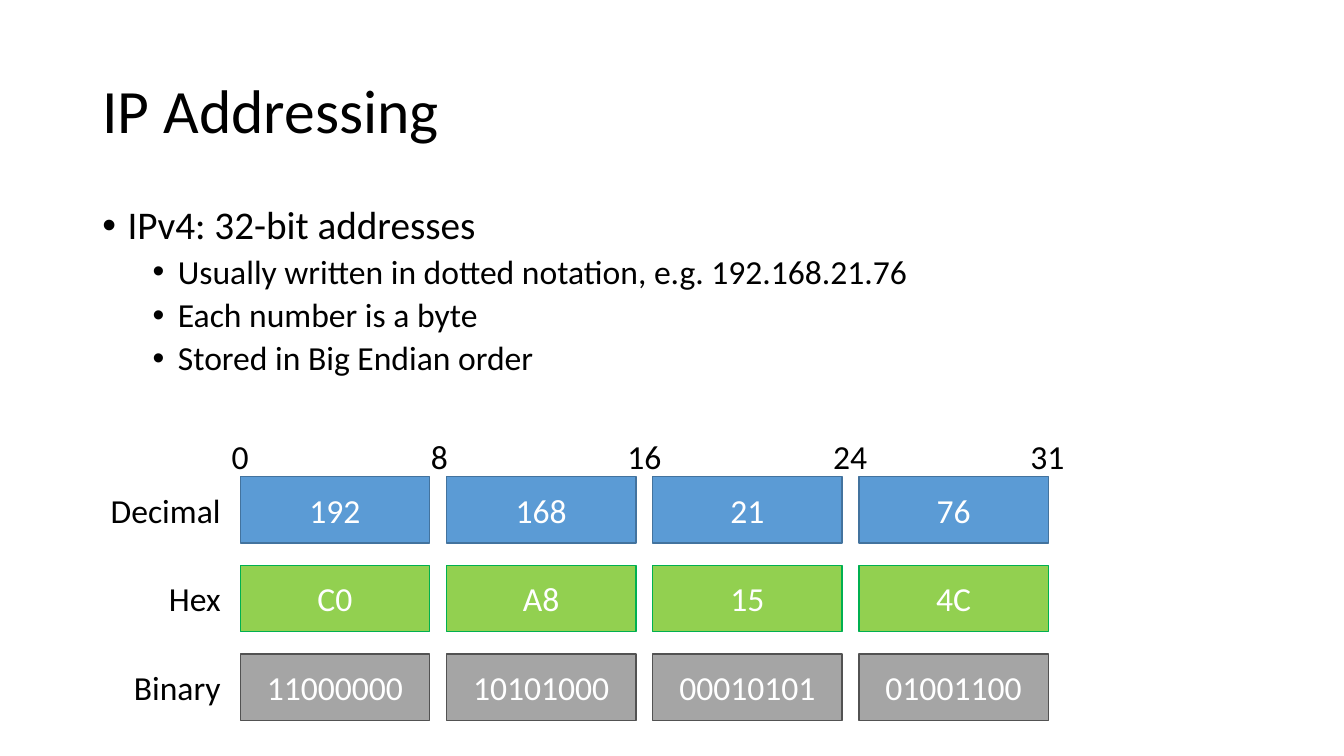
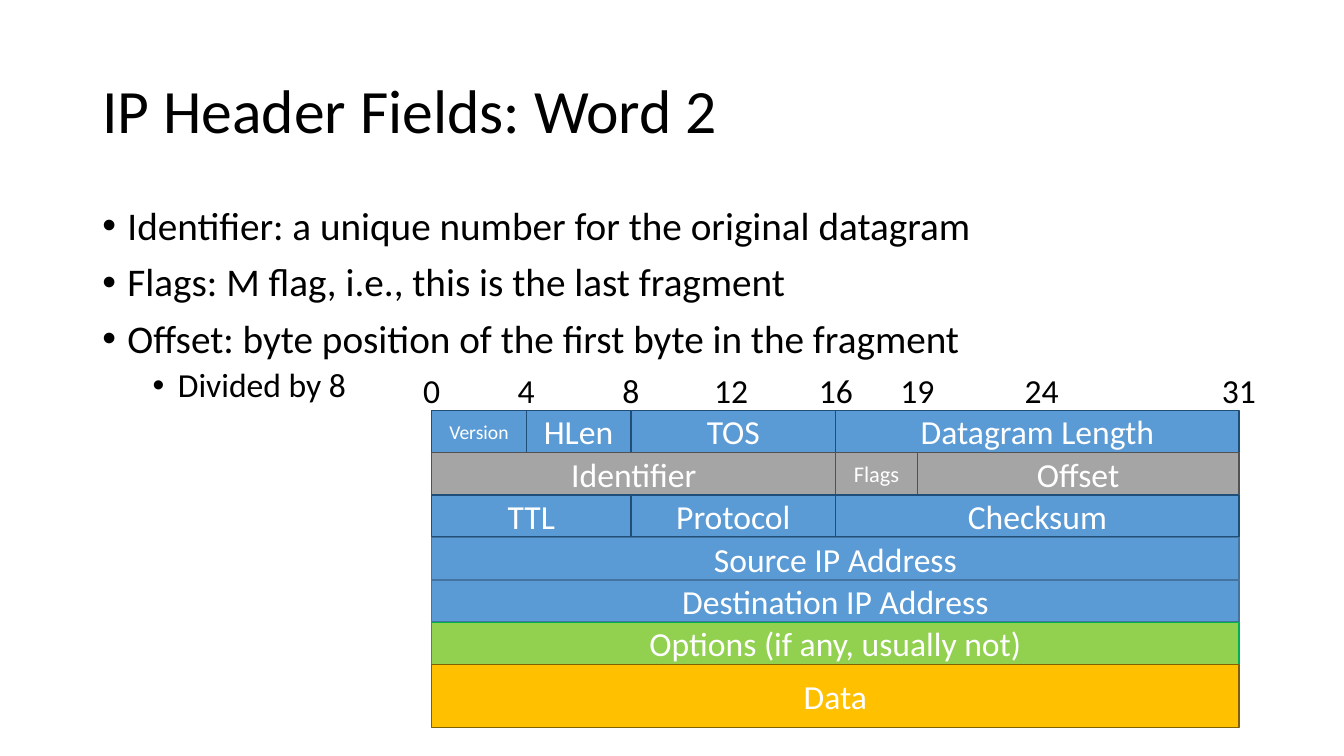
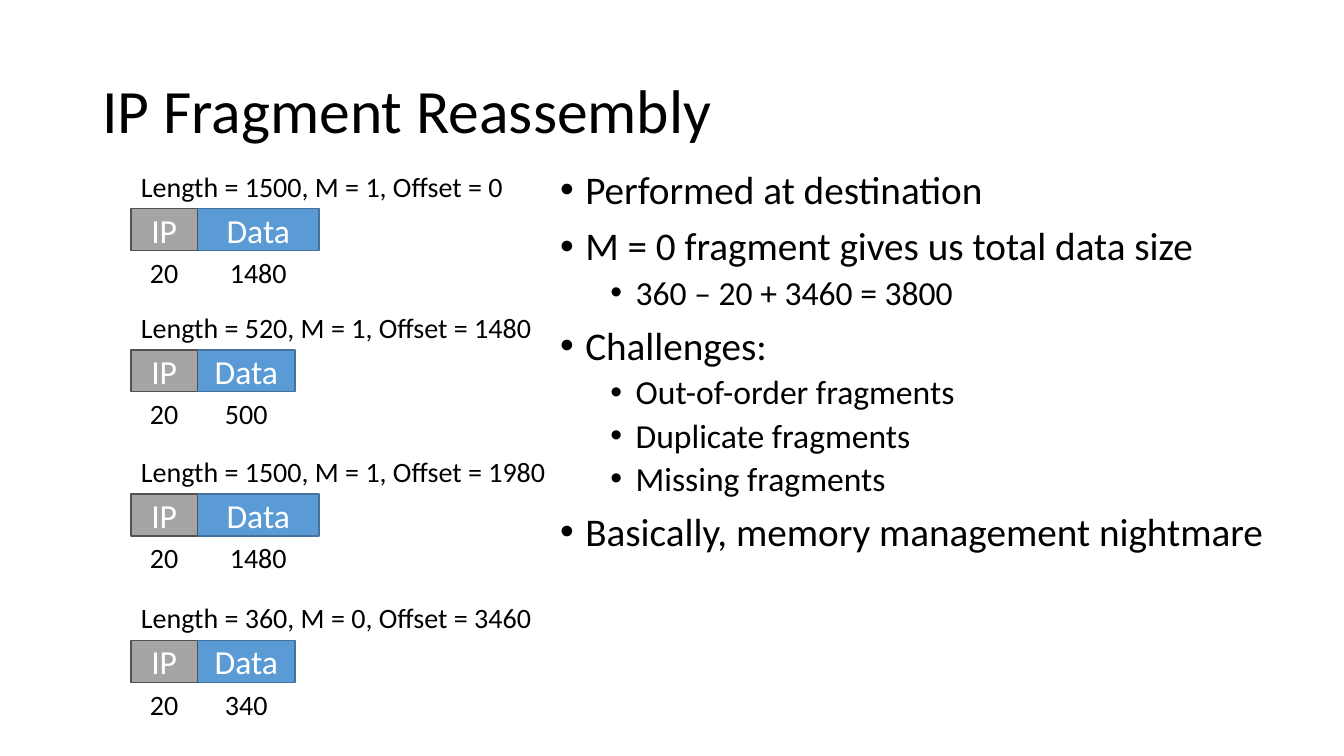
"""Builds three slides on IP addressing, header fields and fragment reassembly."""
from dataclasses import dataclass

from lxml.etree import SubElement
from pptx import Presentation
from pptx.dml.color import RGBColor
from pptx.enum.shapes import MSO_SHAPE
from pptx.enum.text import MSO_ANCHOR, PP_ALIGN
from pptx.oxml.ns import qn
from pptx.util import Emu, Inches, Pt


@dataclass(frozen=True)
class Theme:
    font: str = "Calibri"
    ink: str = "000000"
    on_fill: str = "FFFFFF"
    blue: tuple = ("5B9BD5", "43739E")
    navy_edged: tuple = ("5B9BD5", "1F4E79")
    gray: tuple = ("A5A5A5", "525252")
    green: tuple = ("92D050", "00B050")
    gold: tuple = ("FFC000", "806000")
    title: int = 44
    point: int = 28
    label: int = 24
    caption: int = 20
    flag: int = 16
    tiny: int = 14
    leading: float = 0.9


THEME = Theme()
COLUMNS, ROWS = 32, 18
deck = Presentation()
deck.slide_width, deck.slide_height = Inches(40 / 3), Inches(7.5)
CELL = deck.slide_width / COLUMNS


def put(slide, text, col, row, width, height, *, paint=None, size=THEME.label,
        align=PP_ALIGN.CENTER, anchor=MSO_ANCHOR.MIDDLE, leading=None):
    """Place text on the grid, in a painted rectangle if paint is given."""
    box = [Emu(round(cells * CELL)) for cells in (col, row, width, height)]
    if paint:
        holder = slide.shapes.add_shape(MSO_SHAPE.RECTANGLE, *box)
        fill, edge = paint
        holder.shadow.inherit = False
        holder.fill.solid()
        holder.fill.fore_color.rgb = RGBColor.from_string(fill)
        holder.line.color.rgb = RGBColor.from_string(edge)
        holder.line.width = Pt(1)
    else:
        holder = slide.shapes.add_textbox(*box)
    frame = holder.text_frame
    frame.text = text
    frame.word_wrap = True
    frame.vertical_anchor = anchor
    for paragraph in frame.paragraphs:
        paragraph.alignment = align
        paragraph.line_spacing = leading
        for run in paragraph.runs:
            run.font.name = THEME.font
            run.font.size = Pt(size)
            run.font.color.rgb = RGBColor.from_string(THEME.on_fill if paint else THEME.ink)
    return frame


def put_points(slide, points, *box):
    """Place a two-level bulleted list given as (level, text) pairs."""
    frame = put(slide, "\n".join(text for _, text in points), *box, size=THEME.point,
                align=PP_ALIGN.LEFT, anchor=MSO_ANCHOR.TOP, leading=THEME.leading)
    for paragraph, (level, _) in zip(frame.paragraphs, points):
        paragraph.level = level
        paragraph.space_before = Pt(5 if level else 10)
        paragraph.runs[0].font.size = Pt(THEME.label if level else THEME.point)
        properties = paragraph._p.get_or_add_pPr()
        properties.set("marL", str(Inches(0.25 + 0.5 * level)))
        properties.set("indent", str(Inches(-0.25)))
        SubElement(properties, qn("a:buFont")).set("typeface", "Arial")
        SubElement(properties, qn("a:buChar")).set("char", "•")


outline = [
    ("IP Addressing", (2.2, 4.78, 23.2, 5.6), [
        (0, "IPv4: 32-bit addresses"),
        (1, "Usually written in dotted notation, e.g. 192.168.21.76"),
        (1, "Each number is a byte"),
        (1, "Stored in Big Endian order")]),
    ("IP Header Fields: Word 2", (2.2, 4.8, 27.6, 11.42), [
        (0, "Identifier: a unique number for the original datagram"),
        (0, "Flags: M flag, i.e., this is the last fragment"),
        (0, "Offset: byte position of the first byte in the fragment"),
        (1, "Divided by 8")]),
    ("IP Fragment Reassembly", (13.1, 3.94, 17.45, 13.44), [
        (0, "Performed at destination"),
        (0, "M = 0 fragment gives us total data size"),
        (1, "360 – 20 + 3460 = 3800"),
        (0, "Challenges:"),
        (1, "Out-of-order fragments"),
        (1, "Duplicate fragments"),
        (1, "Missing fragments"),
        (0, "Basically, memory management nightmare")]),
]
slides = []
for title, points_box, points in outline:
    slide = deck.slides.add_slide(deck.slide_layouts[6])
    put(slide, title, 2.2, 0.96, 27.6, 3.48, size=THEME.title,
        align=PP_ALIGN.LEFT, leading=THEME.leading)
    put_points(slide, points, *points_box)
    slides.append(slide)
addressing, header, reassembly = slides

BIT_COLUMN = {0: 0, 4: 2.25, 8: 4.74, 12: 7.13, 16: 9.62, 19: 11.56, 24: 14.52, 31: 19.22}
address_left, address_top = 5.72, 11.35
header_left, header_top = 10.28, 9.77
scales = [
    (addressing, address_left, address_top, (0, 8, 16, 24, 31)),
    (header, header_left, header_top, BIT_COLUMN),
]
mark_width, mark_height = 1.56, 1.58
for slide, left, top, bits in scales:
    for bit in bits:
        put(slide, str(bit), left + BIT_COLUMN[bit] - mark_width / 2, top - 1.28,
            mark_width, mark_height)

notations = [
    ("Decimal", THEME.blue, ("192", "168", "21", "76")),
    ("Hex", THEME.green, ("C0", "A8", "15", "4C")),
    ("Binary", THEME.gray, ("11000000", "10101000", "00010101", "01001100")),
]
byte_width, byte_height, byte_pitch, notation_pitch = 4.51, 1.58, 4.91, 2.11
for index, (notation, paint, values) in enumerate(notations):
    row = address_top + index * notation_pitch
    put(addressing, notation, 1.94, row, 3.55, byte_height, align=PP_ALIGN.RIGHT)
    for place, value in enumerate(values):
        put(addressing, value, address_left + place * byte_pitch, row,
            byte_width, byte_height, paint=paint)

header_words = [
    (THEME.navy_edged, 1, [("Version", 0, 4), ("HLen", 4, 8), ("TOS", 8, 16),
                           ("Datagram Length", 16, 31)]),
    (THEME.gray, 1, [("Identifier", 0, 16), ("Flags", 16, 19), ("Offset", 19, 31)]),
    (THEME.navy_edged, 1, [("TTL", 0, 8), ("Protocol", 8, 16), ("Checksum", 16, 31)]),
    (THEME.blue, 1, [("Source IP Address", 0, 31)]),
    (THEME.blue, 1, [("Destination IP Address", 0, 31)]),
    (THEME.green, 1, [("Options (if any, usually not)", 0, 31)]),
    (THEME.gold, 1.5, [("Data", 0, 31)]),
]
narrow_sizes = {"Version": THEME.tiny, "Flags": THEME.flag}
for index, (paint, height, fields) in enumerate(header_words):
    for field, first, last in fields:
        put(header, field, header_left + BIT_COLUMN[first], header_top + index * 1.01,
            BIT_COLUMN[last] - BIT_COLUMN[first], height, paint=paint,
            size=narrow_sizes.get(field, THEME.label))

fragments = [
    (4.97, 2.9, "Length = 1500, M = 1, Offset = 0", "1480"),
    (8.33, 2.33, "Length = 520, M = 1, Offset = 1480", "500"),
    (11.76, 2.9, "Length = 1500, M = 1, Offset = 1980", "1480"),
    (15.25, 2.33, "Length = 360, M = 0, Offset = 3460", "340"),
]
fragment_left, ip_width = 3.12, 1.58
for row, data_width, summary, data_length in fragments:
    put(reassembly, summary, fragment_left, row - 1.06, 11.28, 1.05,
        size=THEME.caption, align=PP_ALIGN.LEFT, anchor=MSO_ANCHOR.TOP)
    parts = [
        ("Data", data_length, fragment_left + ip_width, data_width, THEME.blue),
        ("IP", "20", fragment_left, ip_width, THEME.gray),
    ]
    for part, length, col, width, paint in parts:
        put(reassembly, part, col, row, width, 1, paint=paint)
        put(reassembly, length, col, row + 1, width, 1.05,
            size=THEME.caption, anchor=MSO_ANCHOR.TOP)

deck.save("out.pptx")
